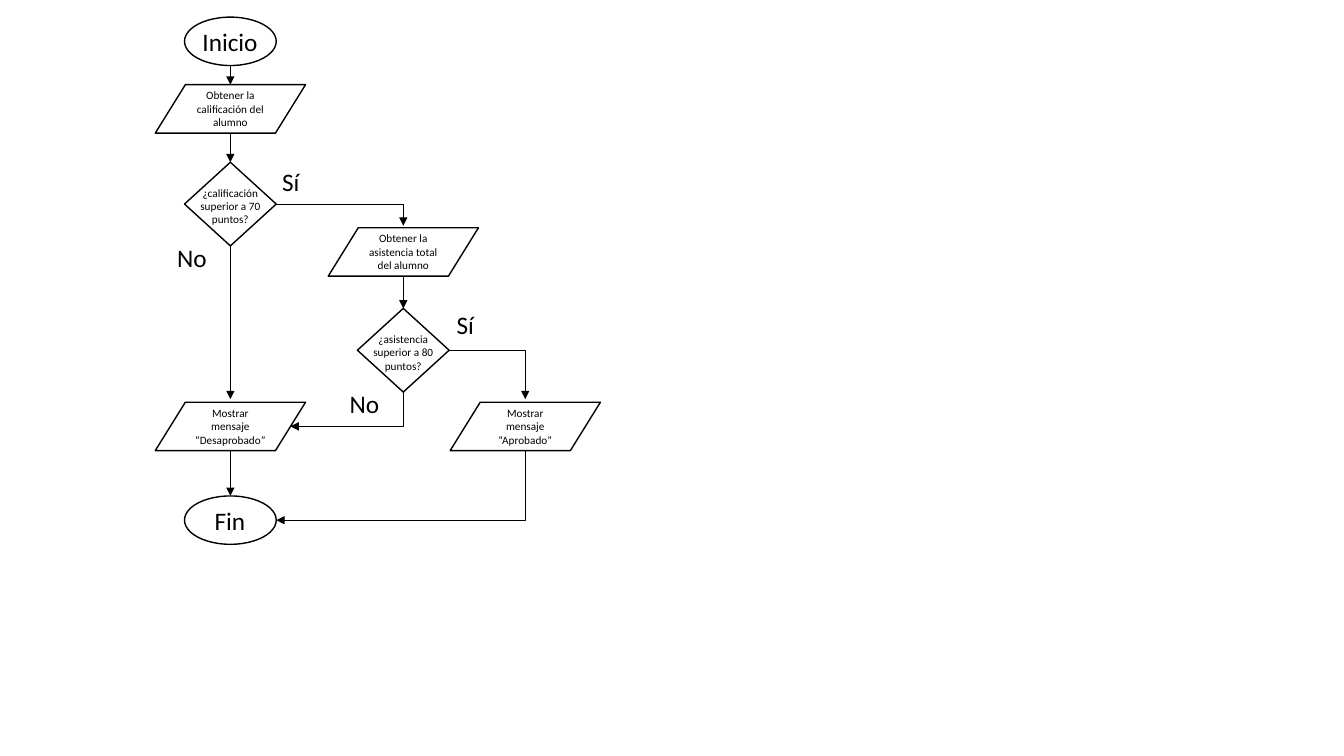
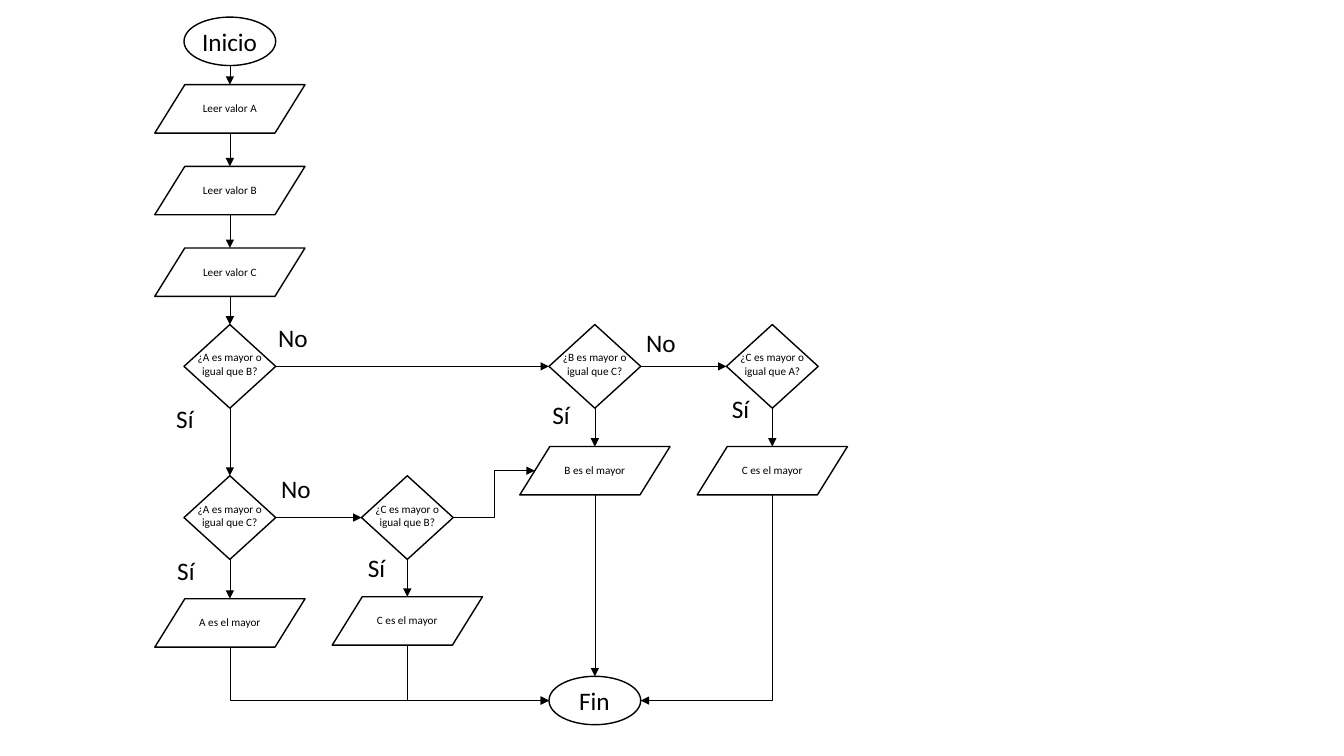
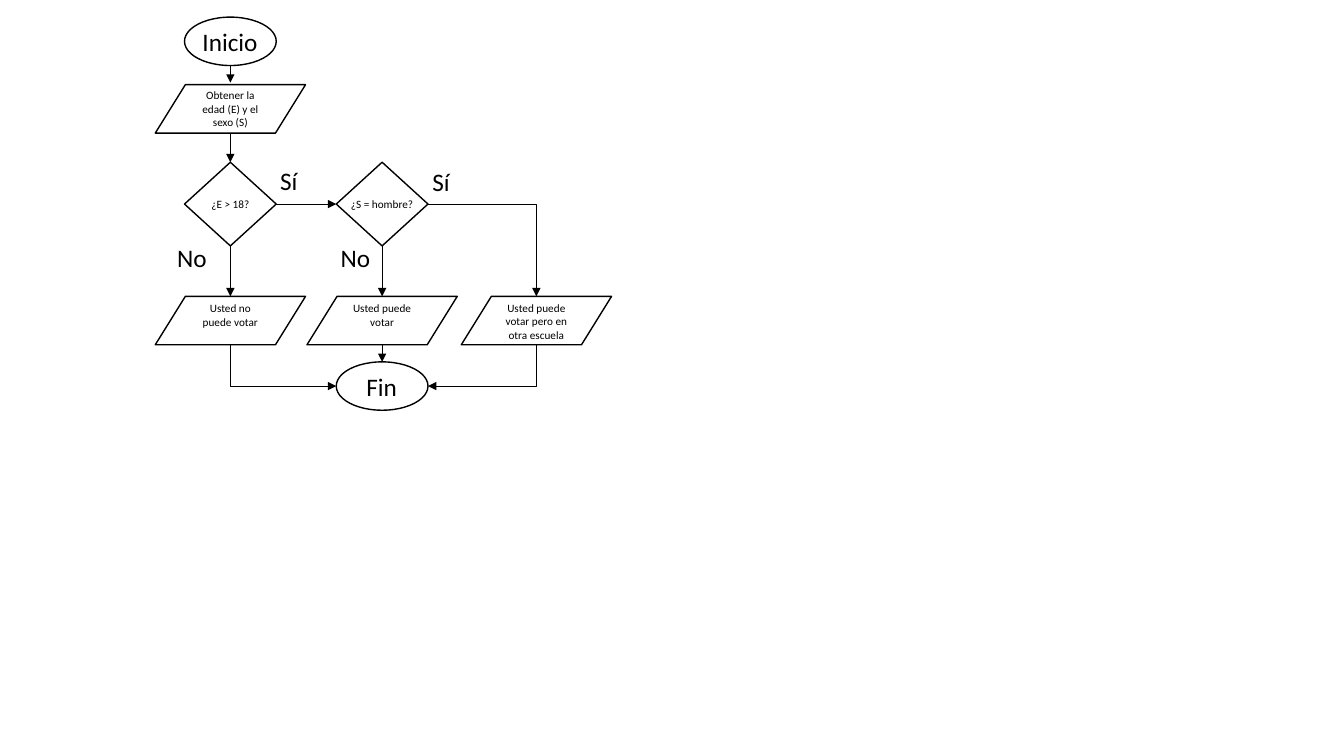
from dataclasses import dataclass

from lxml.etree import SubElement
from pptx import Presentation
from pptx.dml.color import RGBColor
from pptx.enum.shapes import MSO_CONNECTOR as Connector, MSO_SHAPE as Preset
from pptx.enum.text import MSO_AUTO_SIZE as AutoSize, PP_ALIGN as Align
from pptx.oxml.ns import qn
from pptx.util import Inches, Pt

COLORS = {"ink": "000000"}
FONT = "Calibri"
INK = RGBColor.from_string(COLORS["ink"])


@dataclass
class Node:
    center: float
    top: float
    width: float
    height: float
    reach: float = 0.5

    @property
    def middle(self):
        return self.top + self.height / 2

    @property
    def head(self):
        return self.center, self.top

    @property
    def foot(self):
        return self.center, self.top + self.height

    @property
    def west(self):
        return self.center - self.width * self.reach, self.middle

    @property
    def east(self):
        return self.center + self.width * self.reach, self.middle


def add_text(slide, text, left, top, width, height, size=18, align=Align.LEFT, wrap=True):
    box = slide.shapes.add_textbox(Inches(left), Inches(top), Inches(width), Inches(height))
    frame = box.text_frame
    frame.word_wrap = wrap
    frame.auto_size = AutoSize.SHAPE_TO_FIT_TEXT
    paragraph = frame.paragraphs[0]
    paragraph.alignment = align
    run = paragraph.add_run()
    run.text = text
    run.font.name = FONT
    run.font.size = Pt(size)
    run.font.color.rgb = INK


def add_outline(slide, preset, node):
    left = node.center - node.width / 2
    shape = slide.shapes.add_shape(
        preset, Inches(left), Inches(node.top), Inches(node.width), Inches(node.height))
    shape.shadow.inherit = False
    shape.fill.background()
    shape.line.color.rgb = INK
    shape.line.width = Pt(1)
    return node


def add_caption(slide, node, text, lines, shift=0):
    height = 0.24 + 0.13 * (lines - 1)
    add_text(slide, text, node.center - 0.455, node.middle - height / 2 + shift,
             0.91, height, size=8, align=Align.CENTER)


def add_terminal(slide, center, top, text, text_width):
    node = add_outline(slide, Preset.OVAL, Node(center, top, 0.91, 0.48))
    add_text(slide, text, center - text_width / 2, top + 0.04, text_width, 0.4, wrap=False)
    return node


def add_data(slide, center, top, text, lines=1, shift=0):
    node = add_outline(slide, Preset.FLOWCHART_DATA, Node(center, top, 1.49, 0.48, 0.4))
    add_caption(slide, node, text, lines, shift)
    return node


def add_decision(slide, center, top, text, lines=2, shift=-0.02):
    node = add_outline(slide, Preset.FLOWCHART_DECISION, Node(center, top, 0.91, 0.83))
    add_caption(slide, node, text, lines, shift)
    return node


def add_arrow(slide, begin, end, route="straight", gap=0):
    (x1, y1), (x2, y2) = begin, (end[0], end[1] - gap)
    rotation = None
    if route == "down":
        middle_x, middle_y = (x1 + x2) / 2, (y1 + y2) / 2
        half_width, half_height = (y2 - y1) / 2, abs(x2 - x1) / 2
        rotation = 90
        if x2 > x1:
            rotation, half_width = 270, -half_width
        x1, x2 = middle_x - half_width, middle_x + half_width
        y1, y2 = middle_y - half_height, middle_y + half_height
    kind = Connector.STRAIGHT if route == "straight" else Connector.ELBOW
    connector = slide.shapes.add_connector(kind, Inches(x1), Inches(y1), Inches(x2), Inches(y2))
    connector.line.color.rgb = INK
    connector.line.width = Pt(0.5)
    properties = connector.element.spPr
    if route in ("across", "down"):
        properties.find(qn("a:prstGeom")).set("prst", "bentConnector2")
    if rotation:
        properties.find(qn("a:xfrm")).set("rot", str(rotation * 60000))
    SubElement(properties.find(qn("a:ln")), qn("a:tailEnd")).set("type", "triangle")
    SubElement(properties, qn("a:effectLst"))


def add_chain(slide, *nodes):
    for upper, lower in zip(nodes, nodes[1:]):
        add_arrow(slide, upper.foot, lower.head)


def add_answers(slide, answers):
    for text, left, top in answers:
        add_text(slide, text, left, top, 0.5, 0.4)


def build_grades(slide):
    first, second, third = 2.285, 4, 5.21
    start = add_terminal(slide, first, 0.17, "Inicio", 0.75)
    grade = add_data(slide, first, 0.84, "Obtener la calificación del alumno", 3)
    passed = add_decision(slide, first, 1.61, "¿calificación superior a 70 puntos?", 3, 0.02)
    attendance = add_data(slide, second, 2.26, "Obtener la asistencia total del alumno", 3)
    attended = add_decision(slide, second, 3.06, "¿asistencia superior a 80 puntos?", 3, 0.02)
    failure = add_data(slide, first, 3.99, "Mostrar mensaje “Desaprobado”", 3)
    success = add_data(slide, third, 3.99, "Mostrar mensaje “Aprobado”", 3)
    finish = add_terminal(slide, first, 4.92, "Fin", 0.51)
    add_chain(slide, start, grade, passed)
    add_chain(slide, attendance, attended)
    add_chain(slide, failure, finish)
    add_arrow(slide, passed.foot, failure.head, gap=0.03)
    add_arrow(slide, passed.east, attendance.head, "across", gap=0.02)
    add_arrow(slide, attended.east, success.head, "across", gap=0.03)
    add_arrow(slide, attended.foot, failure.east, "down")
    add_arrow(slide, success.foot, finish.east, "down")
    add_answers(slide, [("No", 1.66, 2.35), ("No", 3.37, 3.8),
                        ("Sí", 2.7, 1.6), ("Sí", 4.43, 3.02)])


def build_largest(slide):
    first, second, third, fourth = 2.28, 4.04, 5.9, 7.66
    start = add_terminal(slide, first, 0.17, "Inicio", 0.75)
    inputs = [add_data(slide, first, 0.84 + 0.81 * row, f"Leer valor {name}")
              for row, name in enumerate("ABC")]
    a_over_b, b_over_c, c_over_a = [
        add_decision(slide, center, 3.22, f"¿{left} es mayor o igual que {right}?")
        for center, left, right in ((first, "A", "B"), (third, "B", "C"), (fourth, "C", "A"))]
    a_over_c, c_over_b = [
        add_decision(slide, center, 4.72, f"¿{left} es mayor o igual que {right}?")
        for center, left, right in ((first, "A", "C"), (second, "C", "B"))]
    a_wins, c_wins, b_wins, c_wins_last = [
        add_data(slide, center, top, f"{name} es el mayor")
        for center, top, name in ((first, 5.94, "A"), (second, 5.92, "C"),
                                  (third, 4.43, "B"), (fourth, 4.43, "C"))]
    finish = add_terminal(slide, third, 6.71, "Fin", 0.51)
    add_chain(slide, start, *inputs, a_over_b, a_over_c, a_wins)
    add_chain(slide, c_over_b, c_wins)
    add_chain(slide, b_over_c, b_wins, finish)
    add_chain(slide, c_over_a, c_wins_last)
    for left, right in ((a_over_b, b_over_c), (b_over_c, c_over_a), (a_over_c, c_over_b)):
        add_arrow(slide, left.east, right.west)
    add_arrow(slide, c_over_b.east, b_wins.west, "step")
    add_arrow(slide, a_wins.foot, finish.west, "down")
    add_arrow(slide, c_wins.foot, finish.west, "down")
    add_arrow(slide, c_wins_last.foot, finish.east, "down")
    add_answers(slide, [("Sí", 1.65, 3.95), ("Sí", 1.66, 5.46), ("Sí", 3.55, 5.43),
                        ("Sí", 5.38, 3.91), ("Sí", 7.16, 3.85), ("No", 6.31, 3.2),
                        ("No", 2.66, 3.15), ("No", 2.69, 4.65)])


def build_voting(slide):
    first, second, third = 2.285, 3.79, 5.32
    start = add_terminal(slide, first, 0.17, "Inicio", 0.75)
    person = add_data(slide, first, 0.84, "Obtener la edad (E) y el sexo (S)", 3)
    adult = add_decision(slide, first, 1.61, "¿E > 18?", 1, 0)
    man = add_decision(slide, second, 1.61, "¿S = hombre?", 1, 0)
    barred = add_data(slide, first, 2.94, "Usted no puede votar", 2, -0.05)
    allowed = add_data(slide, second, 2.94, "Usted puede votar", 2, -0.05)
    elsewhere = add_data(slide, third, 2.94, "Usted puede votar pero en otra escuela", 3, 0.01)
    finish = add_terminal(slide, second, 3.59, "Fin", 0.51)
    add_arrow(slide, start.foot, person.head, gap=0.02)
    add_chain(slide, person, adult, barred)
    add_chain(slide, man, allowed, finish)
    add_arrow(slide, adult.east, man.west)
    add_arrow(slide, man.east, elsewhere.head, "across")
    add_arrow(slide, barred.foot, finish.west, "down")
    add_arrow(slide, elsewhere.foot, finish.east, "down")
    add_answers(slide, [("No", 1.66, 2.35), ("No", 3.28, 2.35),
                        ("Sí", 4.19, 1.6), ("Sí", 2.68, 1.59)])


def main():
    presentation = Presentation()
    presentation.slide_width = Inches(13.33)
    presentation.slide_height = Inches(7.5)
    for build in (build_grades, build_largest, build_voting):
        build(presentation.slides.add_slide(presentation.slide_layouts[6]))
    presentation.save("out.pptx")


if __name__ == "__main__":
    main()
